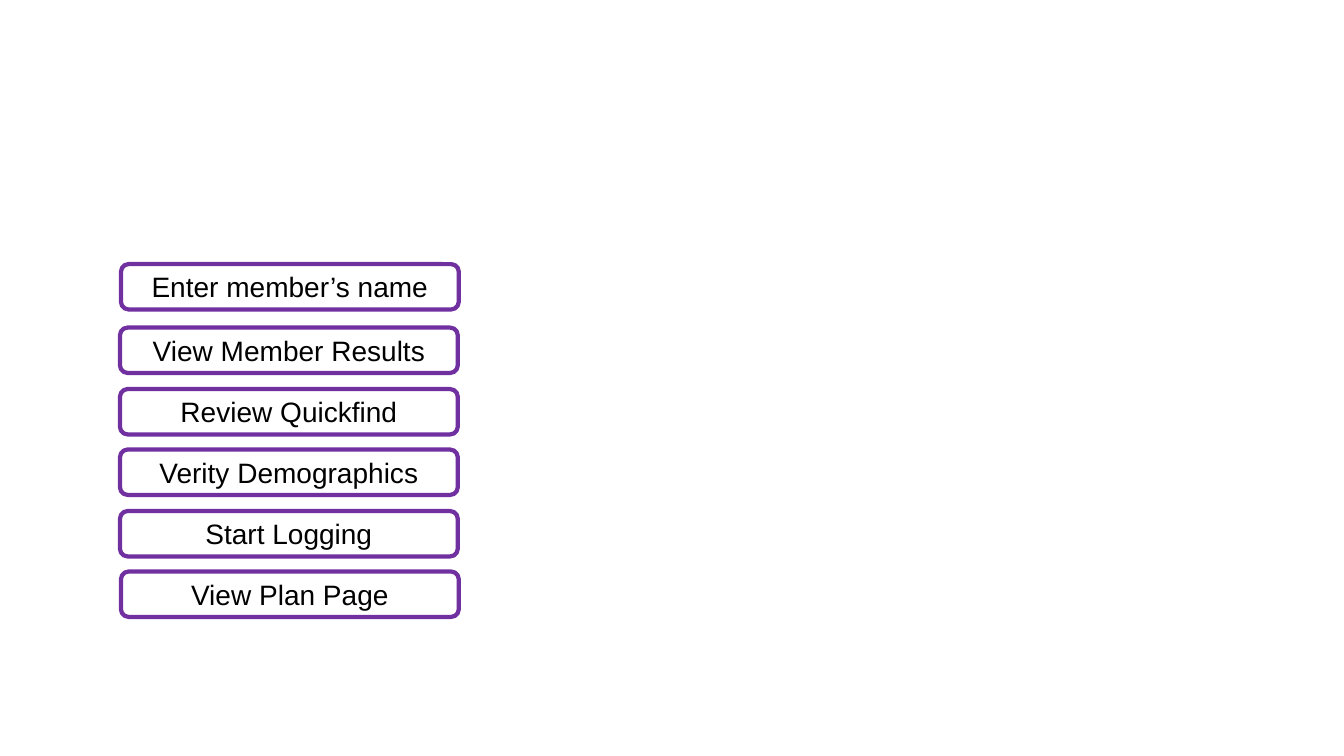
from dataclasses import dataclass

from pptx import Presentation
from pptx import util as u
from pptx.dml import color
from pptx.enum import shapes, text
from pptx.slide import Slide

COLORS = {"background": "FFFFFF", "outline": "7030A0", "text": "000000"}
STEP_WIDTH = 3.35
STEP_HEIGHT = 0.45


@dataclass(frozen=True)
class Step:
    label: str
    left: float
    top: float


STEPS = [
    Step("Enter member’s name", 1.2, 2.62),
    Step("View Member Results", 1.19, 3.25),
    Step("Review Quickfind", 1.19, 3.86),
    Step("Verity Demographics", 1.19, 4.46),
    Step("Start Logging", 1.19, 5.07),
    Step("View Plan Page", 1.2, 5.67),
]


def rgb(name: str) -> color.RGBColor:
    return color.RGBColor.from_string(COLORS[name])


def draw_step(slide: Slide, step: Step) -> None:
    shape = slide.shapes.add_shape(
        shapes.MSO_SHAPE.ROUNDED_RECTANGLE,
        u.Inches(step.left),
        u.Inches(step.top),
        u.Inches(STEP_WIDTH),
        u.Inches(STEP_HEIGHT),
    )
    shape.shadow.inherit = False
    shape.fill.solid()
    shape.fill.fore_color.rgb = rgb("background")
    shape.line.color.rgb = rgb("outline")
    shape.line.width = u.Pt(3)

    frame = shape.text_frame
    frame.word_wrap = True
    frame.vertical_anchor = text.MSO_ANCHOR.MIDDLE
    paragraph = frame.paragraphs[0]
    paragraph.alignment = text.PP_ALIGN.CENTER
    run = paragraph.add_run()
    run.text = step.label
    run.font.name = "Arial"
    run.font.size = u.Pt(20)
    run.font.color.rgb = rgb("text")


def main() -> None:
    presentation = Presentation()
    presentation.slide_width = u.Inches(13.33)
    presentation.slide_height = u.Inches(7.5)
    slide = presentation.slides.add_slide(presentation.slide_layouts[6])
    for step in STEPS:
        draw_step(slide, step)
    presentation.save("out.pptx")


if __name__ == "__main__":
    main()
